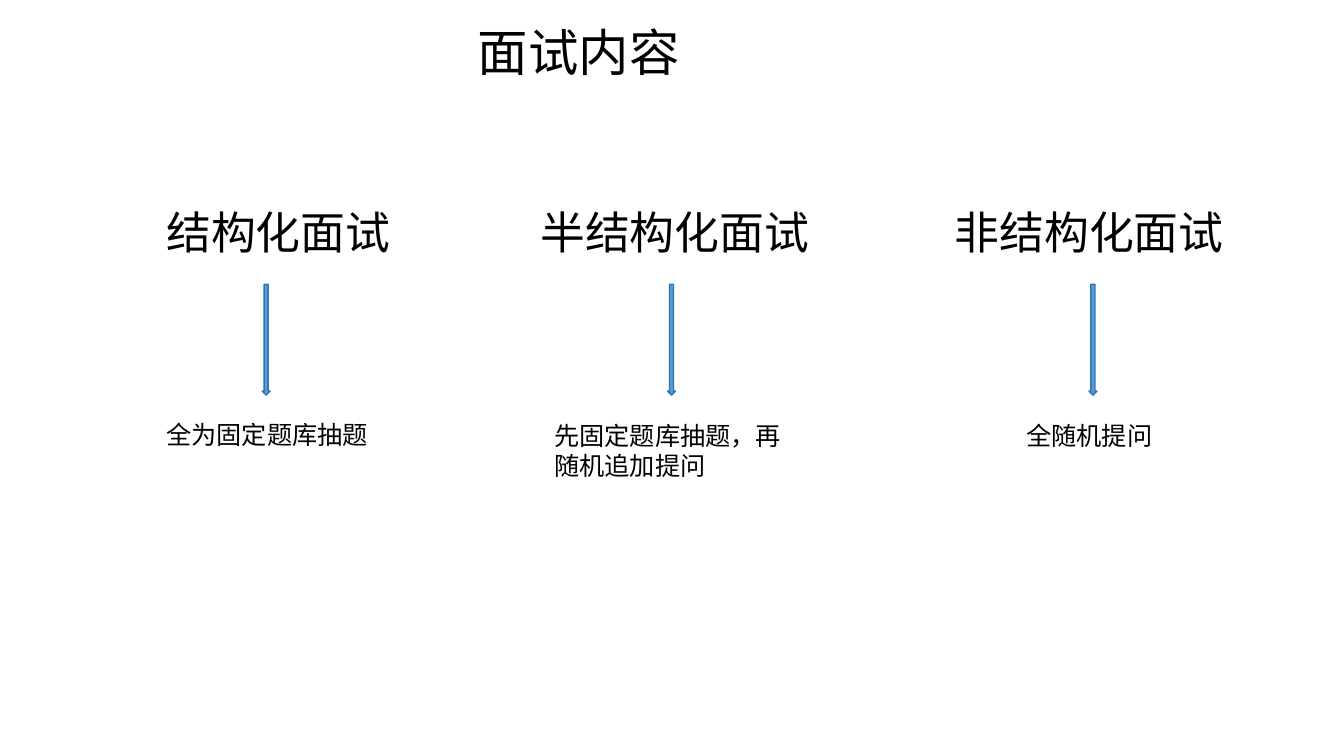
"""Builds the slide on the three kinds of interview content."""
from dataclasses import dataclass

import pptx
import pptx.dml.color
import pptx.enum.shapes
import pptx.enum.text
import pptx.util
from pptx.util import Inches


@dataclass(frozen=True)
class Theme:
    """Font, colours and type sizes of the slide."""
    font: str = "Arial"
    text: str = "000000"
    arrow_fill: str = "5B9BD5"
    arrow_line: str = "2E75B6"
    title_size: int = 36
    heading_size: int = 32
    body_size: int = 18


@dataclass(frozen=True)
class InterviewType:
    """One column: heading, arrow and description."""
    heading: str
    heading_left: float
    heading_width: float
    arrow_left: float
    description: str
    description_left: float
    description_top: float
    description_width: float
    description_height: float


THEME = Theme()
HEADING_TOP, HEADING_HEIGHT = 1.98, 0.64
ARROW_TOP, ARROW_WIDTH, ARROW_HEIGHT = 2.82, 0.08, 1.1

INTERVIEW_TYPES = [
    InterviewType("结构化面试", 1.55, 2.79, 2.6,
                  "全为固定题库抽题", 1.55, 4.11, 2.21, 0.4),
    InterviewType("半结构化面试", 5.26, 3.06, 6.62,
                  "先固定题库抽题，再随机追加提问", 5.4, 4.12, 2.53, 0.71),
    InterviewType("非结构化面试", 9.37, 3.2, 10.8,
                  "全随机提问", 10.08, 4.12, 1.77, 0.4),
]


def rgb(value):
    """Return the colour for a hex string."""
    return pptx.dml.color.RGBColor.from_string(value)


def write_text(box, text, size):
    """Put one left-aligned paragraph into a box that grows with its text."""
    frame = box.text_frame
    frame.word_wrap = True
    frame.auto_size = pptx.enum.text.MSO_AUTO_SIZE.SHAPE_TO_FIT_TEXT
    frame.vertical_anchor = pptx.enum.text.MSO_ANCHOR.TOP
    para = frame.paragraphs[0]
    para.text = text
    para.alignment = pptx.enum.text.PP_ALIGN.LEFT
    para.font.name = THEME.font
    para.font.size = pptx.util.Pt(size)
    para.font.color.rgb = rgb(THEME.text)


def set_title(page, text, left, top, width, height):
    """Place and fill the title placeholder."""
    title = page.shapes.title
    title.left, title.top = Inches(left), Inches(top)
    title.width, title.height = Inches(width), Inches(height)
    write_text(title, text, THEME.title_size)


def add_text(page, text, size, left, top, width, height):
    """Add a text box."""
    box = page.shapes.add_textbox(
        Inches(left), Inches(top), Inches(width), Inches(height))
    write_text(box, text, size)


def add_down_arrow(page, left):
    """Add the arrow from a heading to its description."""
    arrow = page.shapes.add_shape(
        pptx.enum.shapes.MSO_SHAPE.DOWN_ARROW, Inches(left), Inches(ARROW_TOP),
        Inches(ARROW_WIDTH), Inches(ARROW_HEIGHT))
    arrow.shadow.inherit = False
    arrow.fill.solid()
    arrow.fill.fore_color.rgb = rgb(THEME.arrow_fill)
    arrow.line.color.rgb = rgb(THEME.arrow_line)
    arrow.line.width = pptx.util.Pt(1)


def add_interview_type(page, kind):
    """Add one column of the slide."""
    add_text(page, kind.heading, THEME.heading_size, kind.heading_left,
             HEADING_TOP, kind.heading_width, HEADING_HEIGHT)
    add_down_arrow(page, kind.arrow_left)
    add_text(page, kind.description, THEME.body_size, kind.description_left,
             kind.description_top, kind.description_width,
             kind.description_height)


def main():
    """Build and save the deck."""
    deck = pptx.Presentation()
    deck.slide_width, deck.slide_height = Inches(13.33), Inches(7.5)
    page = deck.slides.add_slide(deck.slide_layouts.get_by_name("Title Only"))
    set_title(page, "面试内容", 4.64, 0.16, 3.36, 0.71)
    for kind in INTERVIEW_TYPES:
        add_interview_type(page, kind)
    deck.save("out.pptx")


if __name__ == "__main__":
    main()
